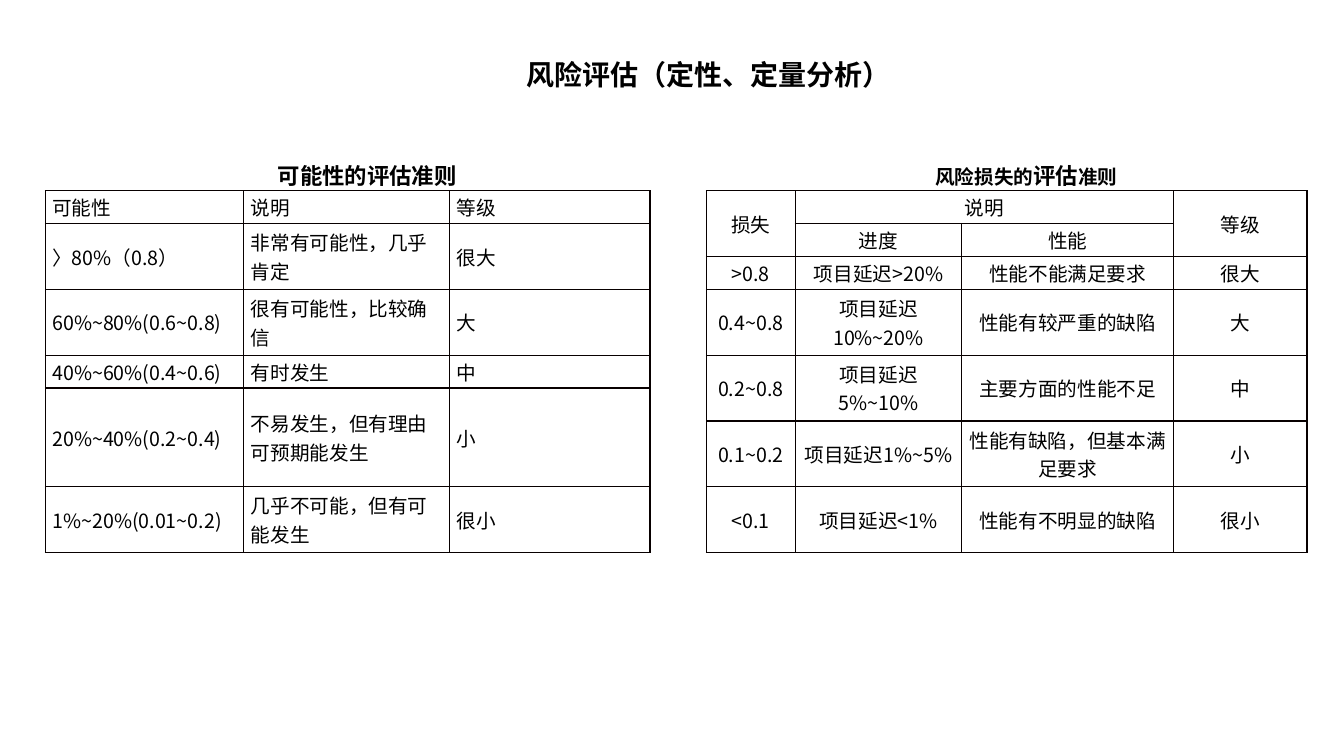
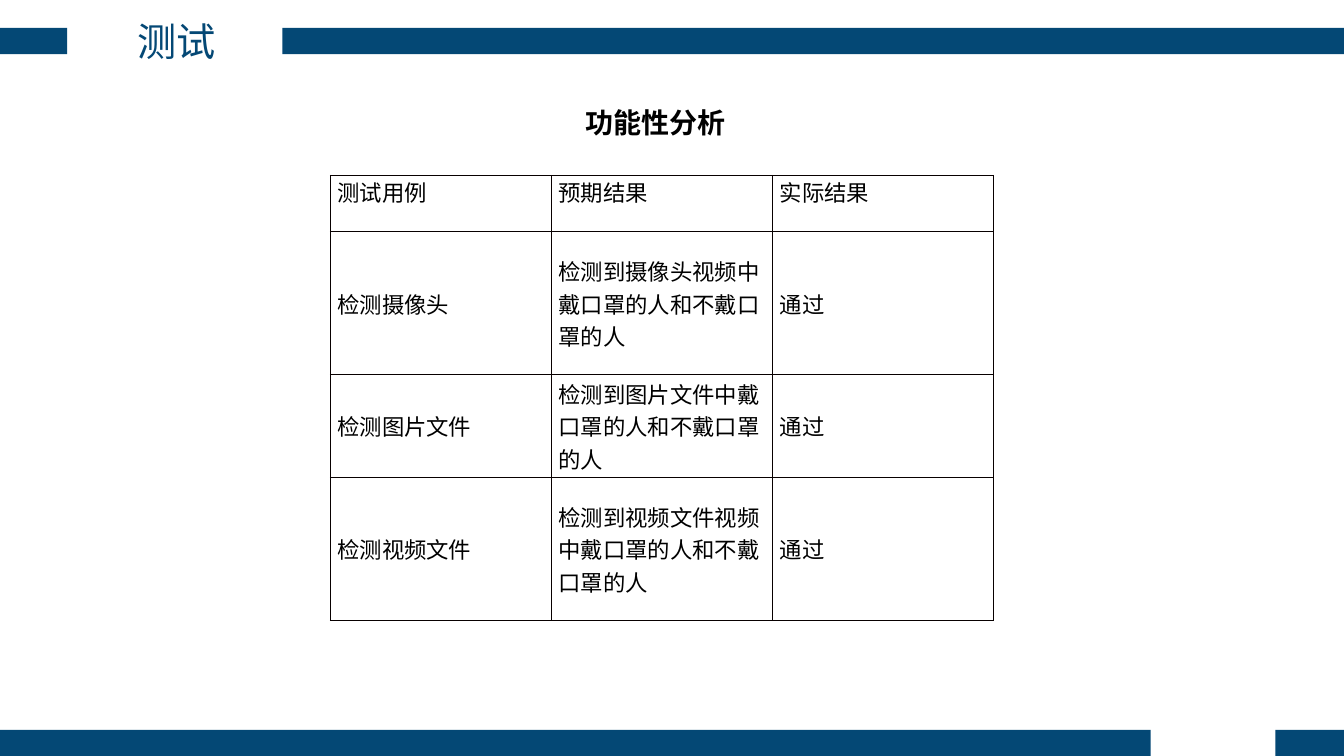
import dataclasses
import lxml.etree
import pptx
import pptx.dml.color
import pptx.enum.lang
import pptx.enum.shapes
import pptx.enum.text
import pptx.oxml.ns
import pptx.util

Pt = pptx.util.Pt
qn = pptx.oxml.ns.qn
ALIGN = pptx.enum.text.PP_ALIGN
ANCHOR = pptx.enum.text.MSO_ANCHOR
TITLE_ONLY = 5


@dataclasses.dataclass(frozen=True)
class Theme:
    """Colours, fonts and type sizes of the deck."""
    navy: str = "044875"
    ink: str = "000000"
    rule: str = "080000"
    latin: str = "Calibri"
    hans: str = "Noto Sans CJK SC"
    label: int = 28
    head: int = 20
    large: int = 16
    small: int = 14
    width: int = 960
    height: int = 540
    band: float = 18.7


THEME = Theme()


def color(value):
    """Turn a hex string into a colour."""
    return pptx.dml.color.RGBColor.from_string(value)


def points(box):
    """Turn a box of numbers into lengths."""
    return [Pt(n) for n in box]


def write(frame, text, size=THEME.small, font=THEME.hans, ink=THEME.ink,
          bold=False, align=ALIGN.LEFT, indent=0):
    """Fill a frame with one paragraph; text is a string or (string, size) pairs."""
    frame.word_wrap = True
    para = frame.paragraphs[0]
    para.alignment = align
    if indent:
        para._p.get_or_add_pPr().set("indent", str(Pt(indent)))
    parts = [(text, size)] if isinstance(text, str) else text
    for part, points_high in parts:
        run = para.add_run()
        run.text = part
        run.font.size = Pt(points_high)
        run.font.name = font
        run.font.bold = bold
        run.font.color.rgb = color(ink)
        run.font.language_id = pptx.enum.lang.MSO_LANGUAGE_ID.SIMPLIFIED_CHINESE
        east = lxml.etree.SubElement(run._r.get_or_add_rPr(), qn("a:ea"))
        east.set("typeface", THEME.hans)


def title(slide, box, text, **form):
    """Place the title of a slide in the box."""
    shape = slide.shapes.title
    shape.left, shape.top, shape.width, shape.height = points(box)
    frame = shape.text_frame
    frame.auto_size = pptx.enum.text.MSO_AUTO_SIZE.NONE
    frame.vertical_anchor = ANCHOR.TOP
    write(frame, text, **form)


def note(slide, box, text, **form):
    """Place a bold line of text in the box."""
    frame = slide.shapes.add_textbox(*points(box)).text_frame
    write(frame, text, font=THEME.latin, bold=True, **form)


def bands(slide, box, gap):
    """Draw a band across the box, open between the two ends of the gap."""
    left, top, width, height = box
    start, end = gap
    for x, w in ((left, start), (left + end, width - end)):
        rect = pptx.enum.shapes.MSO_SHAPE.RECTANGLE
        bar = slide.shapes.add_shape(rect, *points((x, top, w, height)))
        bar.shadow.inherit = False
        bar.fill.solid()
        bar.fill.fore_color.rgb = color(THEME.navy)
        bar.line.fill.background()


def border(cell):
    """Rule all four sides of a cell."""
    props = cell._tc.get_or_add_tcPr()
    for spot, side in enumerate(("a:lnL", "a:lnR", "a:lnT", "a:lnB")):
        line = lxml.etree.Element(qn(side), w=str(Pt(1)))
        fill = lxml.etree.SubElement(line, qn("a:solidFill"))
        lxml.etree.SubElement(fill, qn("a:srgbClr"), val=THEME.rule)
        props.insert(spot, line)


def grid(slide, box, data, cols, rows, spans=(), top=False, **form):
    """Fill the box with a ruled table; cols and rows are shares of its sides."""
    shape = slide.shapes.add_table(len(rows), len(cols), *points(box))
    table = shape.table
    table.first_row = table.horz_banding = False
    for col, share in zip(table.columns, cols):
        col.width = Pt(box[2] * share / sum(cols))
    for row, share in zip(table.rows, rows):
        row.height = Pt(box[3] * share / sum(rows))
    for r, c, last_r, last_c in spans:
        table.cell(r, c).merge(table.cell(last_r, last_c))
    for r, line in enumerate(data):
        for c, text in enumerate(line):
            cell = table.cell(r, c)
            cell.margin_left = cell.margin_right = Pt(5)
            cell.margin_top = cell.margin_bottom = 0
            cell.vertical_anchor = ANCHOR.TOP if top and r == 0 else ANCHOR.MIDDLE
            cell.fill.background()
            border(cell)
            if text:
                write(cell.text_frame, text, **form)


def panel(slide, box, name, data, cols, rows, size=THEME.large, **form):
    """Place a caption above a table, both as wide as the box."""
    left, top, width, height = box
    lead = 24
    note(slide, (left, top, width, 26.6), name, size=size,
         align=ALIGN.CENTER, indent=28)
    grid(slide, (left, top + lead, width, height - lead), data, cols, rows, **form)


def risk(slide):
    """Build the slide on risk ratings."""
    title(slide, (368.6, 37.4, 286.6, 31.7), "风险评估（定性、定量分析）",
          size=THEME.head, font=THEME.latin, bold=True)
    odds = [
        ("可能性", "说明", "等级"),
        ("〉80%（0.8）", "非常有可能性，几乎肯定", "很大"),
        ("60%~80%(0.6~0.8)", "很有可能性，比较确信", "大"),
        ("40%~60%(0.4~0.6)", "有时发生", "中"),
        ("20%~40%(0.2~0.4)", "不易发生，但有理由可预期能发生", "小"),
        ("1%~20%(0.01~0.2)", "几乎不可能，但有可能发生", "很小"),
    ]
    panel(slide, (32.4, 112.2, 432, 282.5), "可能性的评估准则", odds,
          cols=(1.97, 2.04, 1.99), rows=(1, 2, 2, 1, 3, 2))
    loss = [
        ("损失", "说明", "", "等级"),
        ("", "进度", "性能", ""),
        (">0.8", "项目延迟>20%", "性能不能满足要求", "很大"),
        ("0.4~0.8", "项目延迟10%~20%", "性能有较严重的缺陷", "大"),
        ("0.2~0.8", "项目延迟5%~10%", "主要方面的性能不足", "中"),
        ("0.1~0.2", "项目延迟1%~5%", "性能有缺陷，但基本满足要求", "小"),
        ("<0.1", "项目延迟<1%", "性能有不明显的缺陷", "很小"),
    ]
    name = [("风险损失的", THEME.small), ("评估", THEME.large), ("准则", THEME.small)]
    panel(slide, (504.6, 112.2, 429, 282.5), name, loss,
          cols=(0.88, 1.65, 2.1, 1.32), rows=(1, 1, 1, 2, 2, 2, 2),
          spans=((0, 0, 1, 0), (0, 1, 0, 2), (0, 3, 1, 3)), align=ALIGN.CENTER)


def test(slide):
    """Build the slide on test results."""
    bands(slide, (0, 20, THEME.width, THEME.band), (48, 201.8))
    bands(slide, (0, THEME.height - THEME.band, THEME.width, THEME.band), (822, 911))
    title(slide, (50.4, 8.6, 151.2, 41), "测试", size=THEME.label,
          ink=THEME.navy, align=ALIGN.CENTER)
    note(slide, (411, 72, 138.2, 31.7), "功能性分析", size=THEME.head)
    cases = [
        ("测试用例", "预期结果", "实际结果"),
        ("检测摄像头", "检测到摄像头视频中戴口罩的人和不戴口罩的人", "通过"),
        ("检测图片文件", "检测到图片文件中戴口罩的人和不戴口罩的人", "通过"),
        ("检测视频文件", "检测到视频文件视频中戴口罩的人和不戴口罩的人", "通过"),
    ]
    grid(slide, (236, 125.3, 474, 318), cases, cols=(1, 1, 1),
         rows=(0.56, 1.42, 1.02, 1.42), top=True, size=THEME.large)


def main():
    """Build and save the deck."""
    deck = pptx.Presentation()
    deck.slide_width, deck.slide_height = points((THEME.width, THEME.height))
    for build in (risk, test):
        build(deck.slides.add_slide(deck.slide_layouts[TITLE_ONLY]))
    deck.save("out.pptx")


if __name__ == "__main__":
    main()
